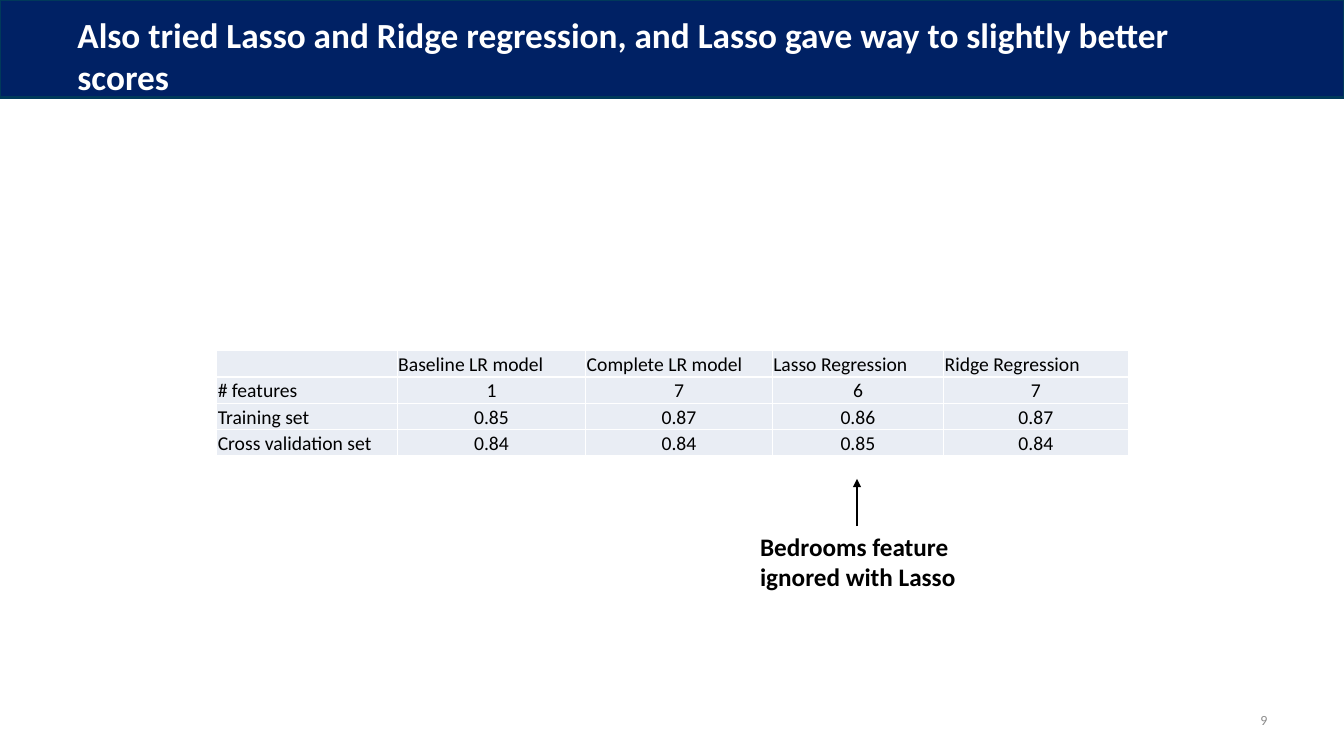
"""Build a slide comparing Lasso and Ridge regression scores."""
from dataclasses import dataclass

from lxml import etree
from pptx import Presentation
from pptx import util as u
from pptx.dml.color import RGBColor
from pptx.enum import shapes, text
from pptx.oxml import ns

PX = 9144
FONT = "Calibri"
WHITE, BLACK, GREY = "FFFFFF", "000000", "8C8C8C"
NAVY, NAVY_EDGE, CELL_FILL = "002164", "00395A", "E9EDF4"
LEFT, CENTER, RIGHT = text.PP_ALIGN.LEFT, text.PP_ALIGN.CENTER, text.PP_ALIGN.RIGHT
TOP, MIDDLE, BOTTOM = text.MSO_ANCHOR.TOP, text.MSO_ANCHOR.MIDDLE, text.MSO_ANCHOR.BOTTOM

COLUMN_WIDTHS = (179, 187, 185, 170, 183)
ROW_HEIGHT = 26
SCORES = (
    ("", "Baseline LR model", "Complete LR model", "Lasso Regression", "Ridge Regression"),
    ("# features", "1", "7", "6", "7"),
    ("Training set", "0.85", "0.87", "0.86", "0.87"),
    ("Cross validation set", "0.84", "0.84", "0.85", "0.84"),
)


@dataclass(frozen=True)
class Label:
    """A text box with its place in px and its format."""

    words: str
    place: tuple[int, int, int, int]
    size: float
    color: str
    bold: bool = False
    align: text.PP_ALIGN = LEFT
    anchor: text.MSO_ANCHOR = MIDDLE
    insets: tuple[int, int, int, int] = (10, 5, 10, 5)


LABELS = (
    Label("Also tried Lasso and Ridge regression, and Lasso gave way to slightly better scores",
          (67, 13, 1200, 84), 25.2, WHITE, bold=True, insets=(10, 5, 40, 5)),
    Label("Bedrooms feature ignored with Lasso", (744, 522, 262, 71), 18, BLACK,
          bold=True, anchor=TOP),
    Label("9", (1111, 694, 156, 40), 10, GREY, align=RIGHT),
)


def px(*lengths: int) -> list[u.Emu]:
    """Turn px into EMU."""
    return [u.Emu(length * PX) for length in lengths]


def rgb(color: str) -> RGBColor:
    """Turn a hex string into a colour."""
    return RGBColor.from_string(color)


def write(para, words: str, *, size: float, color: str, bold: bool = False,
          align: text.PP_ALIGN = LEFT) -> None:
    """Put formatted text in a paragraph."""
    para.alignment = align
    if not words:
        para._p.get_or_add_endParaRPr().set("sz", str(round(size * 100)))
        return
    span = para.add_run()
    span.text = words
    span.font.name = FONT
    span.font.size = u.Pt(size)
    span.font.bold = bold
    span.font.color.rgb = rgb(color)


def set_insets(holder, insets: tuple[int, int, int, int]) -> None:
    """Set the left, top, right and bottom margins of a frame or cell."""
    (holder.margin_left, holder.margin_top,
     holder.margin_right, holder.margin_bottom) = px(*insets)


def draw_band(page) -> None:
    """Draw the heading band."""
    band = page.shapes.add_shape(shapes.MSO_SHAPE.RECTANGLE, *px(0, 0, 1333, 97))
    band.shadow.inherit = False
    band.fill.solid()
    band.fill.fore_color.rgb = rgb(NAVY)
    band.line.color.rgb = rgb(NAVY_EDGE)
    band.line.width = u.Pt(2)


def draw_label(page, label: Label) -> None:
    """Draw one text box."""
    frame = page.shapes.add_textbox(*px(*label.place)).text_frame
    frame.word_wrap = True
    frame.vertical_anchor = label.anchor
    set_insets(frame, label.insets)
    write(frame.paragraphs[0], label.words, size=label.size, color=label.color,
          bold=label.bold, align=label.align)


def add_borders(cell, color: str, points: float) -> None:
    """Give a cell the same line on all four sides."""
    properties = cell._tc.get_or_add_tcPr()
    for index, side in enumerate(("lnL", "lnR", "lnT", "lnB")):
        line = etree.Element(ns.qn(f"a:{side}"), w=str(u.Pt(points)))
        fill = etree.SubElement(line, ns.qn("a:solidFill"))
        etree.SubElement(fill, ns.qn("a:srgbClr"), val=color)
        properties.insert(index, line)


def draw_table(page) -> None:
    """Draw the table of scores."""
    place = px(215, 348, sum(COLUMN_WIDTHS), ROW_HEIGHT * len(SCORES))
    table = page.shapes.add_table(len(SCORES), len(COLUMN_WIDTHS), *place).table
    table.first_row = table.horz_banding = False
    for column, width in zip(table.columns, px(*COLUMN_WIDTHS)):
        column.width = width
    for row_index, row in enumerate(SCORES):
        table.rows[row_index].height = u.Emu(ROW_HEIGHT * PX)
        for column_index, words in enumerate(row):
            cell = table.cell(row_index, column_index)
            cell.vertical_anchor = BOTTOM
            set_insets(cell, (1, 1, 1, 0))
            cell.fill.solid()
            cell.fill.fore_color.rgb = rgb(CELL_FILL)
            add_borders(cell, WHITE, 1)
            write(cell.text_frame.paragraphs[0], words, size=14, color=BLACK,
                  align=CENTER if row_index and column_index else LEFT)


def draw_arrow(page) -> None:
    """Draw the arrow from the remark up to the Lasso column."""
    arrow = page.shapes.add_connector(shapes.MSO_CONNECTOR.STRAIGHT, *px(850, 522, 850, 475))
    arrow.line.color.rgb = rgb(BLACK)
    arrow.line.width = u.Pt(1.5)
    etree.SubElement(arrow.line._get_or_add_ln(), ns.qn("a:tailEnd"), type="triangle")
    etree.SubElement(arrow._element.spPr, ns.qn("a:effectLst"))


def main() -> None:
    """Build and save the deck."""
    deck = Presentation()
    deck.slide_width, deck.slide_height = px(1333, 750)
    page = deck.slides.add_slide(deck.slide_layouts[6])
    draw_band(page)
    draw_table(page)
    for label in LABELS:
        draw_label(page, label)
    draw_arrow(page)
    deck.save("out.pptx")


if __name__ == "__main__":
    main()
